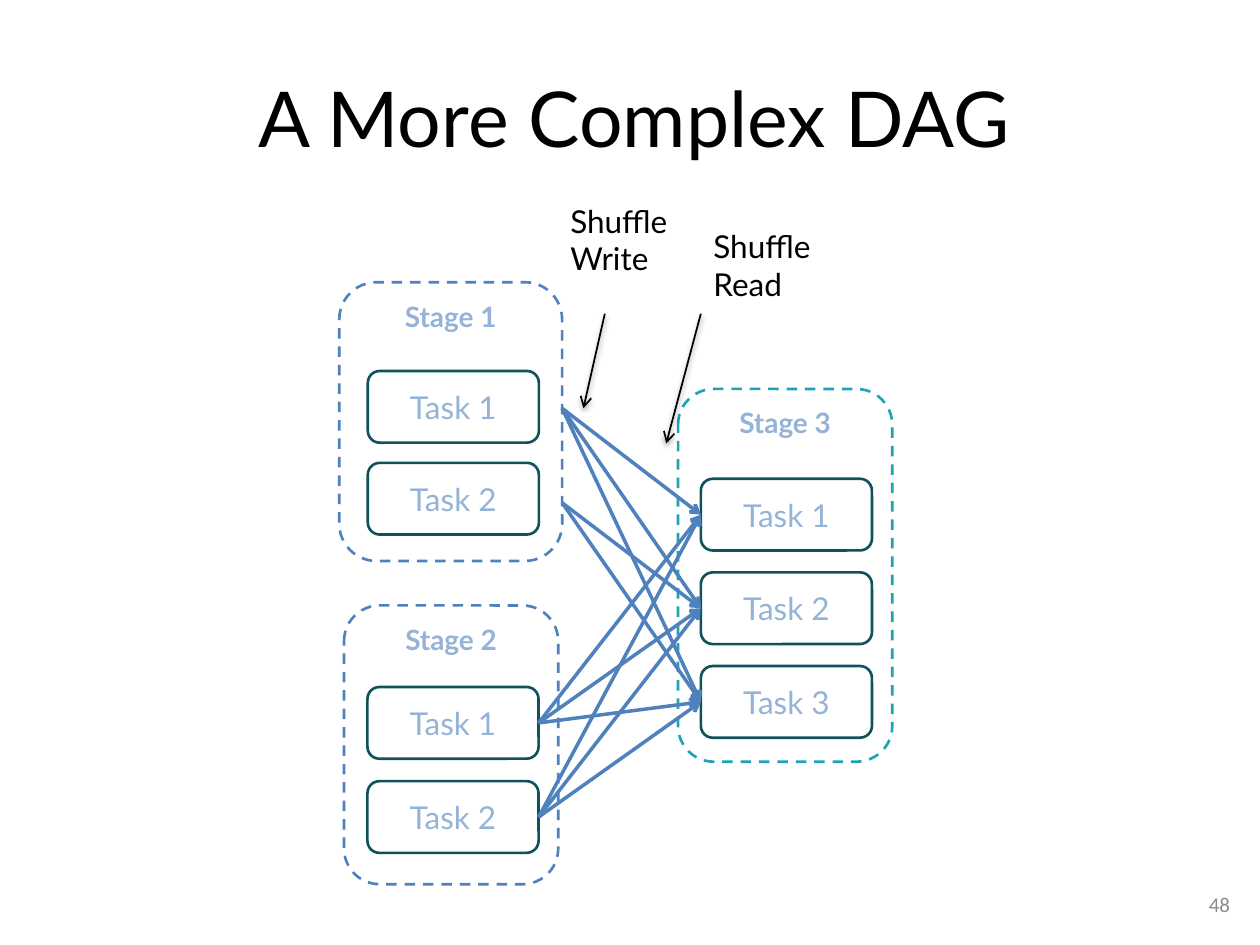
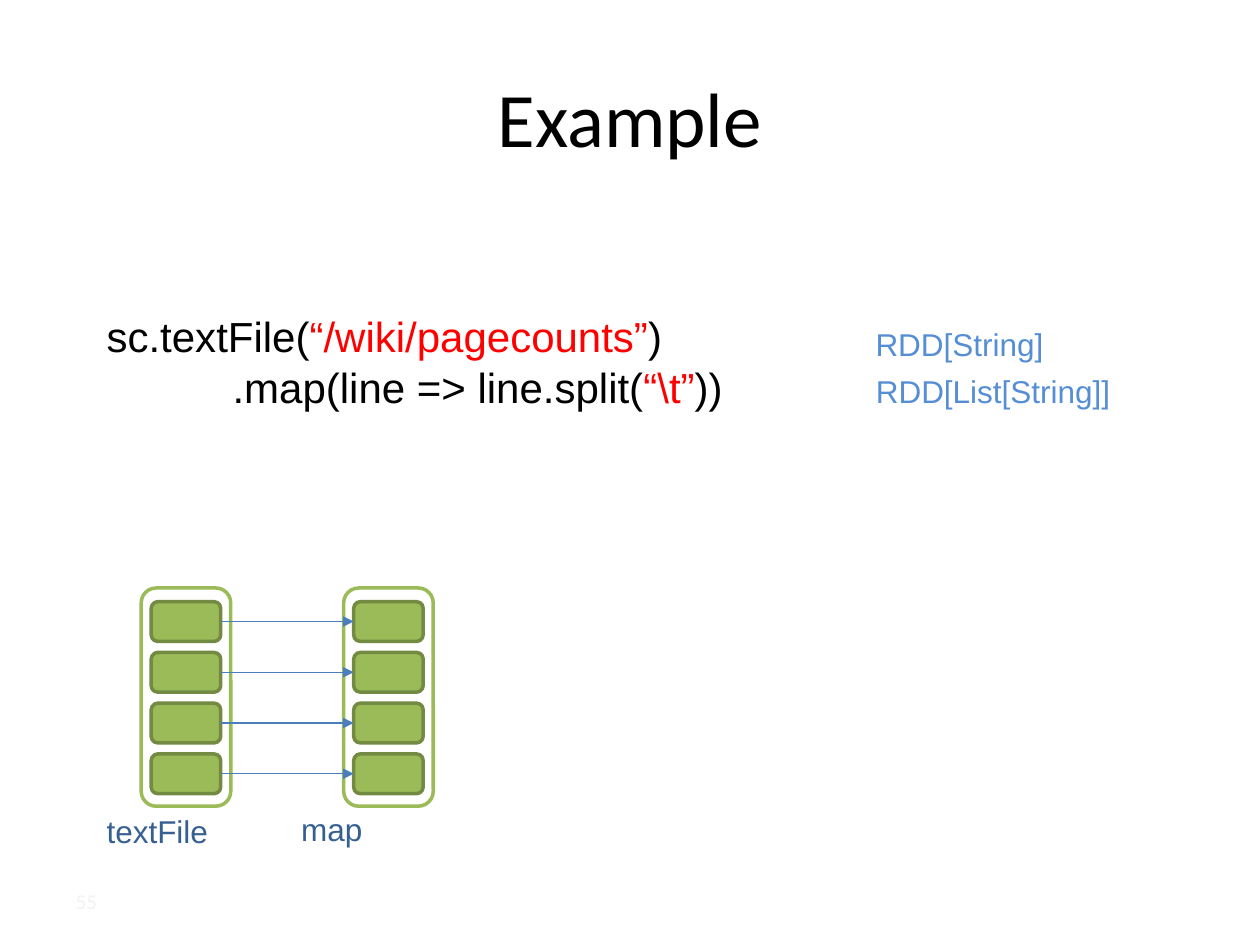
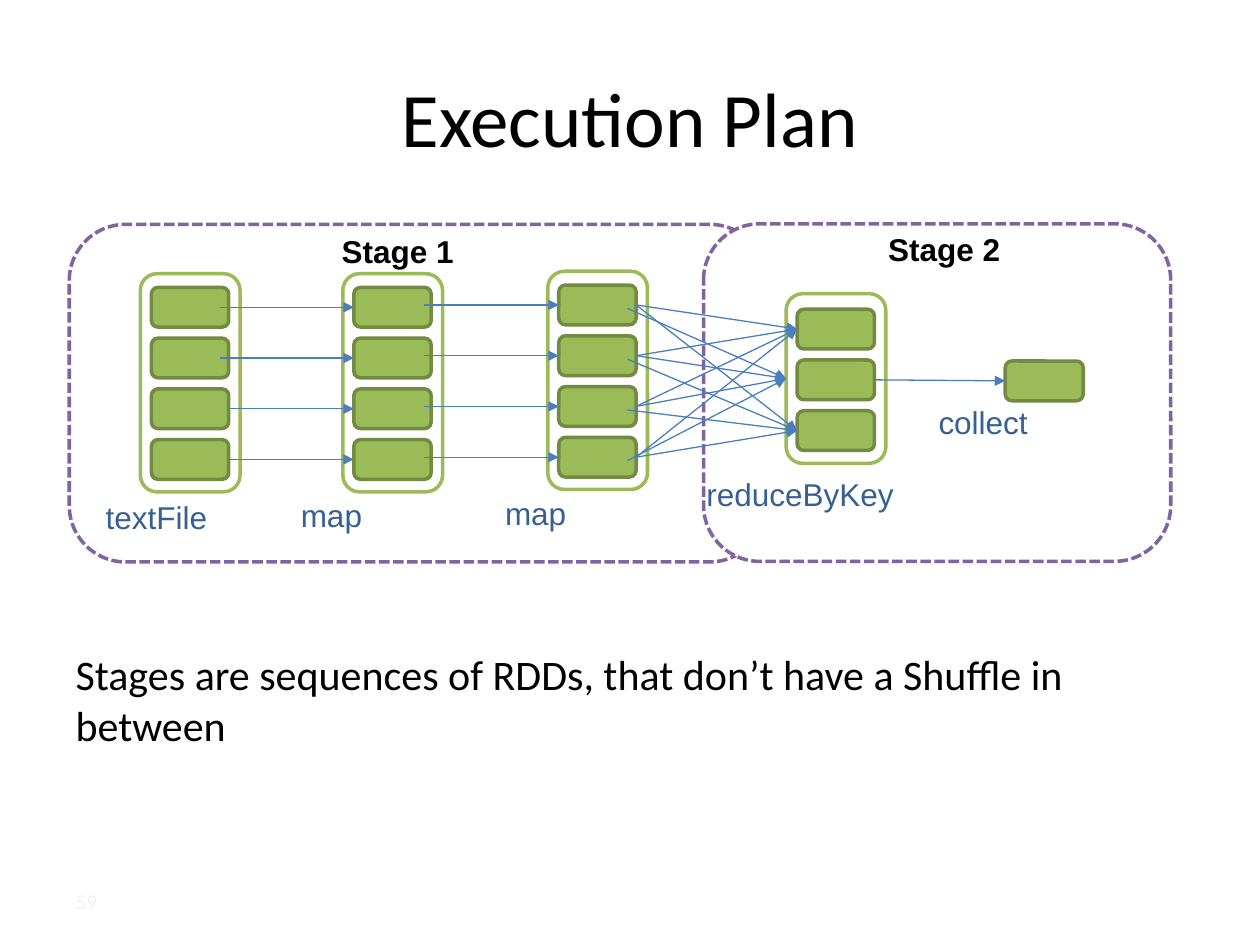
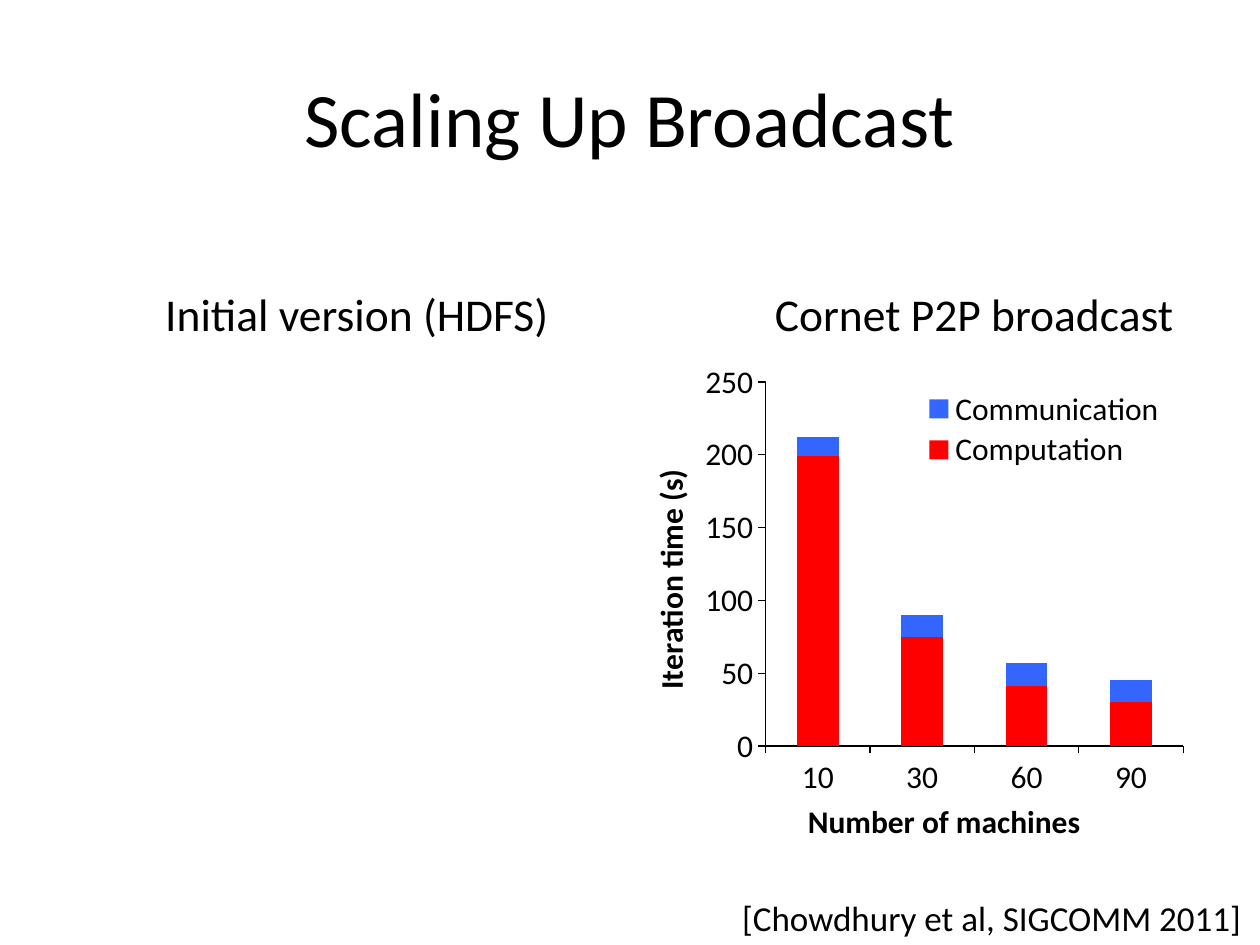
from dataclasses import dataclass
from itertools import product
from typing import NamedTuple, Optional, Union

from lxml.etree import SubElement
from pptx import Presentation
from pptx.chart.data import CategoryChartData
from pptx.dml.color import RGBColor
from pptx.enum.chart import XL_CHART_TYPE as ChartType, XL_LEGEND_POSITION as LegendPos
from pptx.enum.chart import XL_TICK_MARK as TickMark
from pptx.enum.dml import MSO_LINE as Dash
from pptx.enum.shapes import MSO_CONNECTOR as Connector, MSO_SHAPE as Shape
from pptx.enum.text import MSO_ANCHOR as Anchor, PP_ALIGN as Align
from pptx.oxml.ns import qn
from pptx.shapes.autoshape import Shape as AutoShape
from pptx.slide import Slide
from pptx.util import Pt

LEFT, RIGHT = 1, 3  # connection sites of a rectangle
TITLE_AND_BODY, TITLE_ONLY = 1, 5  # template layouts


@dataclass(frozen=True)
class Theme:
    sans: str = "Calibri"
    lato: str = "Lato"
    code: str = "Arial"
    black: str = "000000"
    white: str = "FFFFFF"
    blue: str = "4F81BD"
    pale_blue: str = "95B3D7"
    teal: str = "1EA3B5"
    dark_teal: str = "0F525B"
    green: str = "9BBB59"
    dark_green: str = "738A42"
    purple: str = "8064A2"
    arrow: str = "4B7EBC"
    type_blue: str = "558ED5"
    step_blue: str = "376092"
    red: str = "FF0000"
    series_blue: str = "3366FF"
    number_gray: str = "8C8C8C"
    number_faint: str = "F2F2F2"
    title_size: float = 44
    heading_size: float = 26
    body_size: float = 24
    cite_size: float = 20
    label_size: float = 18
    stage_size: float = 16
    number_size: float = 12


T = Theme()


class Box(NamedTuple):
    """A rectangle in points."""
    x: float
    y: float
    w: float
    h: float


class Point(NamedTuple):
    x: float
    y: float


class Site(NamedTuple):
    """The middle of one side of a shape."""
    shape: AutoShape
    side: int


class Style(NamedTuple):
    font: str
    size: float
    color: str
    bold: bool = False


class Outline(NamedTuple):
    color: str
    width: float
    dash: Optional[Dash] = None


class Stage(NamedTuple):
    name: str
    box: Box
    color: str
    first_task: Point
    pitch: float
    tasks: int


class Rdd(NamedTuple):
    """A frame holding a column of partition blocks."""
    frame: Box
    first_block: Point
    block_w: float
    blocks: int


TITLE_BOX = Box(36, 21.6, 648, 90)
TASK_W, TASK_H = 97.8, 41
BLOCK_H, BLOCK_PITCH = 22.7, 29

TITLE = Style(T.sans, T.title_size, T.black)
LATO_TITLE = Style(T.lato, T.title_size, T.black)
STAGE = Style(T.lato, T.stage_size, T.pale_blue, True)
TASK = Style(T.lato, T.label_size, T.pale_blue)
NOTE = Style(T.lato, T.label_size, T.black)
CODE = Style(T.code, T.body_size, T.black)
RDD_TYPE = Style(T.code, T.label_size, T.type_blue)
STEP = Style(T.code, T.label_size, T.step_blue)
PLAN_STAGE = Style(T.code, T.label_size, T.black, True)
BODY = Style(T.sans, T.body_size, T.black)
HEADING = Style(T.sans, T.heading_size, T.black)
CITATION = Style(T.sans, T.cite_size, T.black)
NUMBER = Style(T.sans, T.number_size, T.number_gray)
FAINT_NUMBER = NUMBER._replace(color=T.number_faint)

BLOCK_EDGE = Outline(T.dark_green, 2)
FRAME_EDGE = Outline(T.green, 2)
PLAN_EDGE = Outline(T.purple, 2, Dash.SQUARE_DOT)
TASK_EDGE = Outline(T.dark_teal, 1.5)
TASK_ARROW = Outline(T.blue, 2)
NOTE_ARROW = Outline(T.black, 1)
RDD_ARROW = Outline(T.arrow, 0.75)


def rgb(color: str) -> RGBColor:
    return RGBColor.from_string(color)


def set_font(font, style: Style) -> None:
    font.name, font.size, font.bold = style.font, Pt(style.size), style.bold
    font.color.rgb = rgb(style.color)


def place(sp, box: Box) -> None:
    sp.left, sp.top, sp.width, sp.height = map(Pt, box)


def set_text(sp, text: str, style: Style, align: Align, anchor: Anchor,
             bullet: bool = True) -> None:
    """Fill a shape with one paragraph; bullet=False drops an inherited bullet."""
    tf = sp.text_frame
    tf.text, tf.vertical_anchor = text, anchor
    p = tf.paragraphs[0]
    p.alignment = align
    if not bullet:
        p_pr = p._p.get_or_add_pPr()
        p_pr.set("marL", "0")
        p_pr.set("indent", "0")
        SubElement(p_pr, qn("a:buNone"))
    set_font(p.font, style)


def add_slide(prs, title: str, style: Style = TITLE, box: Box = TITLE_BOX,
              layout: int = TITLE_ONLY) -> Slide:
    slide = prs.slides.add_slide(prs.slide_layouts[layout])
    sp = slide.shapes.title
    place(sp, box)
    set_text(sp, title, style, Align.CENTER, Anchor.MIDDLE)
    return slide


def add_label(slide: Slide, text: str, box: Box, style: Style, align: Align = Align.LEFT,
              anchor: Anchor = Anchor.TOP, wrap: bool = True) -> AutoShape:
    sp = slide.shapes.add_textbox(*map(Pt, box))
    sp.text_frame.word_wrap = wrap
    set_text(sp, text, style, align, anchor)
    return sp


def add_number(slide: Slide, number: int, x: float, y: float, style: Style,
               align: Align) -> None:
    add_label(slide, str(number), Box(x, y, 44, 28.8), style, align, Anchor.MIDDLE)


def add_round_rect(shapes, box: Box, edge: Outline, fill: Optional[str] = None) -> AutoShape:
    sp = shapes.add_shape(Shape.ROUNDED_RECTANGLE, *map(Pt, box))
    sp.shadow.inherit = False
    if fill:
        sp.fill.solid()
        sp.fill.fore_color.rgb = rgb(fill)
    else:
        sp.fill.background()
    sp.line.color.rgb, sp.line.width = rgb(edge.color), Pt(edge.width)
    if edge.dash:
        sp.line.dash_style = edge.dash
    return sp


def add_arrow(slide: Slide, start: Union[Point, Site], end: Union[Point, Site],
              line: Outline, head: str = "triangle", shadow: bool = False) -> None:
    """Draw an arrow, joined to a shape wherever an end is a Site."""
    con = slide.shapes.add_connector(Connector.STRAIGHT, 0, 0, 0, 0)
    if isinstance(start, Site):
        con.begin_connect(*start)
    else:
        con.begin_x, con.begin_y = map(Pt, start)
    if isinstance(end, Site):
        con.end_connect(*end)
    else:
        con.end_x, con.end_y = map(Pt, end)
    con.line.color.rgb, con.line.width = rgb(line.color), Pt(line.width)
    sp_pr = con._element.spPr
    SubElement(sp_pr.find(qn("a:ln")), qn("a:tailEnd"), type=head)
    effects = SubElement(sp_pr, qn("a:effectLst"))
    if shadow:
        outer = SubElement(effects, qn("a:outerShdw"), blurRad=str(Pt(3.1)),
                           dist=str(Pt(1.6)), dir="5400000", rotWithShape="0")
        color = SubElement(outer, qn("a:srgbClr"), val=T.black)
        SubElement(color, qn("a:alpha"), val="38000")


def add_stage(slide: Slide, stage: Stage) -> list[AutoShape]:
    """Draw a dashed stage and return its task boxes."""
    sp = add_round_rect(slide.shapes, stage.box, Outline(stage.color, 1.5, Dash.DASH))
    set_text(sp, stage.name, STAGE, Align.CENTER, Anchor.TOP)
    tasks = []
    for i in range(stage.tasks):
        box = Box(stage.first_task.x, stage.first_task.y + i * stage.pitch, TASK_W, TASK_H)
        task = add_round_rect(slide.shapes, box, TASK_EDGE)
        set_text(task, f"Task {i + 1}", TASK, Align.CENTER, Anchor.MIDDLE)
        tasks.append(task)
    return tasks


def add_rdd(slide: Slide, rdd: Rdd) -> tuple[AutoShape, list[AutoShape]]:
    """Draw a grouped RDD and return its frame and blocks."""
    shapes = slide.shapes.add_group_shape().shapes
    frame = add_round_rect(shapes, rdd.frame, FRAME_EDGE, T.white)
    x, top = rdd.first_block
    blocks = [add_round_rect(shapes, Box(x, top + i * BLOCK_PITCH, rdd.block_w, BLOCK_H),
                             BLOCK_EDGE, T.green) for i in range(rdd.blocks)]
    return frame, blocks


def near_right(block: AutoShape, dx: float, dy: float = 0) -> Point:
    """The middle of the right side, moved by dx and dy."""
    return Point((block.left + block.width) / Pt(1) + dx,
                 (block.top + block.height / 2) / Pt(1) + dy)


def build_dag(prs) -> None:
    slide = add_slide(prs, "A More Complex DAG", LATO_TITLE, Box(80.2, 21.6, 564.5, 90))
    add_number(slide, 48, 666, 502.5, NUMBER, Align.RIGHT)
    stage3, stage2, _ = [add_stage(slide, stage) for stage in (
        Stage("Stage 3", Box(387.5, 222.3, 122.4, 213), T.teal, Point(400.5, 273.6), 53.5, 3),
        Stage("Stage 2", Box(196.6, 346, 122.4, 159.3), T.blue, Point(210, 392.6), 53.8, 2),
        Stage("Stage 1", Box(193.9, 161.3, 127.4, 159.3), T.blue, Point(210.2, 212), 52.5, 2))]
    stage1_exits = [Point(321.2, 233.3), Point(321.2, 287.3)]
    for start, task in product(stage1_exits, stage3):
        if (start, task) != (stage1_exits[1], stage3[0]):
            add_arrow(slide, start, Site(task, LEFT), TASK_ARROW, "arrow")
    for source, task in product(stage2, stage3):
        add_arrow(slide, Site(source, RIGHT), Site(task, LEFT), TASK_ARROW, "arrow")
    add_label(slide, "Shuffle Read", Box(400.6, 126.4, 75, 51), NOTE)
    add_label(slide, "Shuffle Write", Box(318.8, 111.6, 100, 51), NOTE)
    add_arrow(slide, Point(345.6, 179.3), Point(333.4, 233.3), NOTE_ARROW, "arrow", True)
    add_arrow(slide, Point(400.5, 179.3), Point(380.7, 253.4), NOTE_ARROW, "arrow", True)


def build_example(prs) -> None:
    slide = add_slide(prs, "Example")
    add_number(slide, 55, 36.2, 500.8, FAINT_NUMBER, Align.LEFT)
    tf = slide.shapes.add_textbox(*map(Pt, Box(53.8, 174, 439, 65.5))).text_frame
    tf.word_wrap = True
    lines = (("sc.textFile(", "“/wiki/pagecounts”", ")"),
             ("\t.map(line => line.split(", "“\\t”", "))"))
    for i, parts in enumerate(lines):
        p = tf.add_paragraph() if i else tf.paragraphs[0]
        tabs = SubElement(p._p.get_or_add_pPr(), qn("a:tabLst"))
        SubElement(tabs, qn("a:tab"), pos=str(Pt(72)), algn="l")
        set_font(p.font, CODE)
        for part in parts:
            r = p.add_run()
            r.text = part
            r.font.color.rgb = rgb(T.red if part.startswith("“") else T.black)
    add_label(slide, "RDD[String]", Box(493.2, 182.2, 142, 29), RDD_TYPE)
    add_label(slide, "RDD[List[String]]", Box(493.4, 208.8, 166.5, 29), RDD_TYPE)

    (_, sources), (_, targets) = [
        add_rdd(slide, Rdd(Box(x, 336, 51.2, 124.7), Point(x + 5.7, 343.8), 39.7, 4))
        for x in (80.7, 196.4)]
    for source, target in zip(sources, targets):
        add_arrow(slide, Site(source, RIGHT), Site(target, LEFT), RDD_ARROW)
    add_label(slide, "textFile", Box(53.8, 460.5, 111.6, 29), STEP)
    add_label(slide, "map", Box(165, 459.4, 72.7, 29), STEP)


def build_plan(prs) -> None:
    slide = add_slide(prs, "Execution Plan", layout=TITLE_AND_BODY)
    add_number(slide, 59, 36.2, 500.8, FAINT_NUMBER, Align.LEFT)
    body = slide.placeholders[1]
    place(body, Box(36, 367.2, 648, 115.2))
    set_text(body, "Stages are sequences of RDDs, that don’t have a Shuffle in between",
             BODY, Align.LEFT, Anchor.TOP, bullet=False)
    body.text_frame.paragraphs[0].space_before = Pt(0)

    for box in (Box(39.6, 128.2, 398.2, 192.9), Box(402, 127.9, 267, 192.9)):
        add_round_rect(slide.shapes, box, PLAN_EDGE, T.white)
    (_, files), (_, lines), (_, pairs), (reduce_frame, reduced) = [
        add_rdd(slide, Rdd(Box(x, y, 57, h), Point(x + 6.3, block_y), 44.2, n))
        for x, y, h, block_y, n in ((80.2, 156.4, 124.7, 164.2, 4), (195.9, 156.4, 124.7, 164.2, 4),
                                    (313, 155, 124.7, 162.9, 4), (449.2, 167.8, 97, 176.7, 3))]

    for row, (source, target) in enumerate(zip(files, lines)):
        start = near_right(source, -5) if row < 2 else Site(source, RIGHT)
        add_arrow(slide, start, Site(target, LEFT), RDD_ARROW)
    for source, target in zip(lines, pairs):
        add_arrow(slide, near_right(source, -4, -1.3), Site(target, LEFT), RDD_ARROW)

    starts_inside = {(0, 1), (1, 2), (2, 2), (3, 1)}
    for i, j in product(range(len(pairs)), range(len(reduced))):
        start = (near_right(pairs[i], -5, 2) if (i, j) in starts_inside
                 else Site(pairs[i], RIGHT))
        target = reduce_frame if j == 1 else reduced[j]
        add_arrow(slide, start, Site(target, LEFT), RDD_ARROW)

    result = add_round_rect(slide.shapes, Box(574.4, 206.3, 44.6, BLOCK_H), BLOCK_EDGE, T.green)
    add_arrow(slide, Site(reduced[1], RIGHT), Site(result, LEFT), RDD_ARROW)
    for text, x, y, w in (("textFile", 53.3, 281, 80.6), ("map", 164.8, 280, 80.6),
                          ("map", 281.5, 278.6, 80.6), ("reduceByKey", 396.5, 267.8, 123),
                          ("collect", 529.2, 226.8, 123)):
        add_label(slide, text, Box(x, y, w, 29), STEP)
    for text, x, y in (("Stage 1", 188.2, 128.9), ("Stage 2", 500.4, 127.9)):
        add_label(slide, text, Box(x, y, 84, 29), PLAN_STAGE)


def set_layout(parent, index: int, box: Box, target: Optional[str] = None) -> None:
    """Place a chart part by fractions of the chart area."""
    old = parent.find(qn("c:layout"))
    if old is not None:
        parent.remove(old)
    layout = SubElement(parent, qn("c:layout"))
    parent.insert(index, layout)
    manual = SubElement(layout, qn("c:manualLayout"))
    if target:
        SubElement(manual, qn("c:layoutTarget"), val=target)
    for tag in ("xMode", "yMode"):
        SubElement(manual, qn(f"c:{tag}"), val="edge")
    for tag, value in zip("xywh", box):
        SubElement(manual, qn(f"c:{tag}"), val=str(value))


def build_broadcast(prs) -> None:
    slide = add_slide(prs, "Scaling Up Broadcast")
    add_label(slide, "Initial version (HDFS)", Box(78, 160, 252, 50), HEADING, Align.CENTER)
    add_label(slide, "Cornet P2P broadcast", Box(424, 160, 265.5, 50), HEADING, Align.CENTER)

    data = CategoryChartData()
    data.categories = ["10", "30", "60", "90"]
    data.add_series("Computation", (199, 75, 41, 30))
    data.add_series("Communication", (13, 15, 16, 15))
    chart = slide.shapes.add_chart(ChartType.COLUMN_STACKED,
                                   *map(Pt, Box(367.5, 201.2, 318.2, 285)), data).chart
    chart.has_title = False
    set_font(chart.font, Style(T.sans, T.label_size, T.black))
    plot = chart.plots[0]
    plot.gap_width, plot.overlap, plot.vary_by_categories = 150, 100, False
    for series, color in zip(plot.series, (T.red, T.series_blue)):
        series.format.fill.solid()
        series.format.fill.fore_color.rgb = rgb(color)

    for axis, title in ((chart.category_axis, "Number of machines"),
                        (chart.value_axis, "Iteration time (s)")):
        axis.has_major_gridlines = False
        axis.major_tick_mark, axis.minor_tick_mark = TickMark.OUTSIDE, TickMark.NONE
        axis.format.line.color.rgb, axis.format.line.width = rgb(T.black), Pt(0.75)
        tf = axis.axis_title.text_frame
        tf.text = title
        set_font(tf.paragraphs[0].font, Style(T.sans, T.label_size, T.black, True))
    chart.value_axis.minimum_scale, chart.value_axis.maximum_scale = 0, 250
    chart.value_axis.major_unit = 50

    chart.has_legend = True
    chart.legend.position = LegendPos.RIGHT
    chart.legend.include_in_layout = False
    root = chart.element
    set_layout(root.find(".//" + qn("c:plotArea")), 0, Box(0.22, 0.06, 0.75, 0.73), "inner")
    set_layout(root.find(".//" + qn("c:legend")), 1, Box(0.49, 0.07, 0.46, 0.17))

    add_label(slide, "[Chowdhury et al, SIGCOMM 2011]", Box(417, 508.6, 303, 31.4),
              CITATION, wrap=False)


def main() -> None:
    prs = Presentation()
    prs.slide_width, prs.slide_height = Pt(720), Pt(540)
    for build in (build_dag, build_example, build_plan, build_broadcast):
        build(prs)
    prs.save("out.pptx")


if __name__ == "__main__":
    main()
